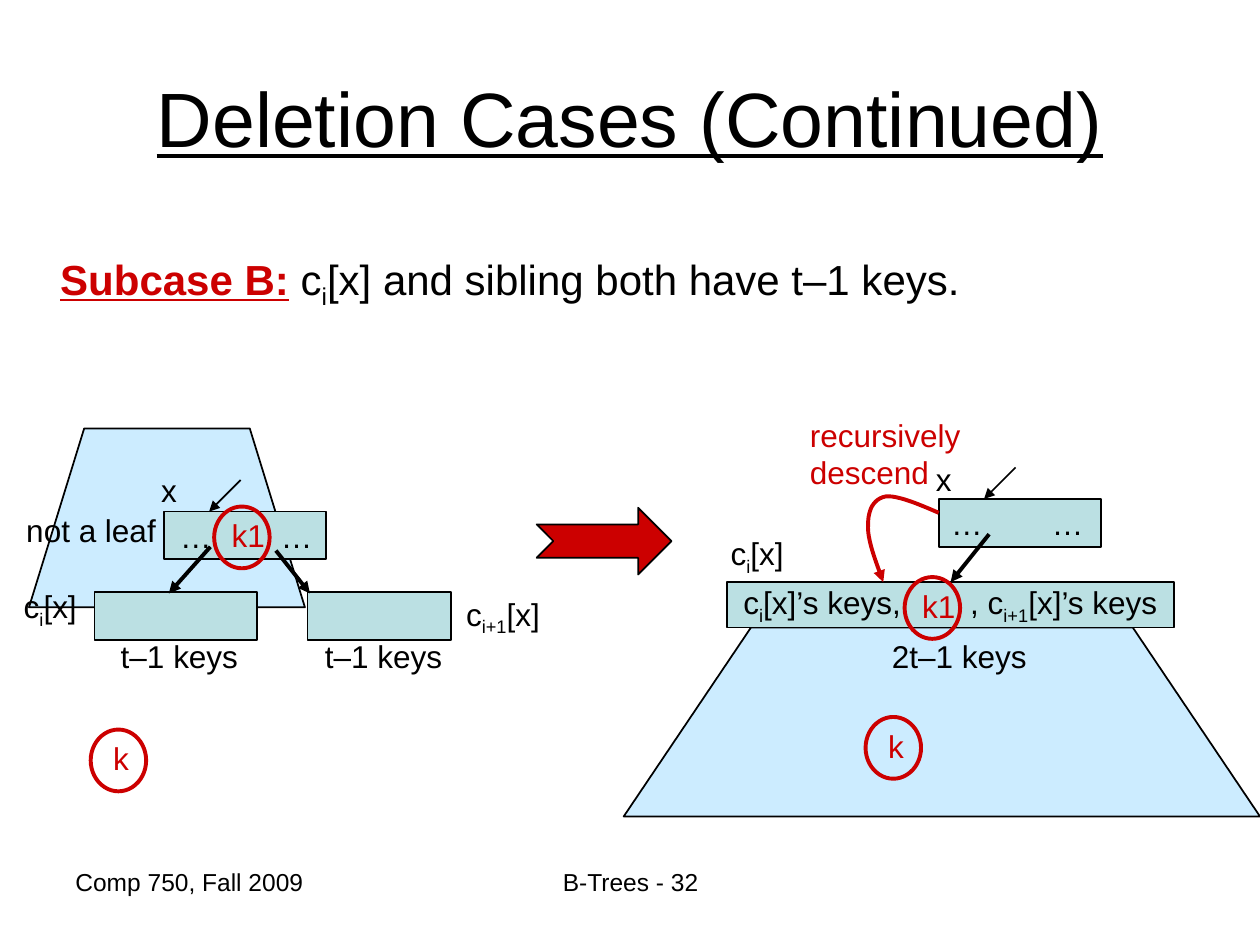
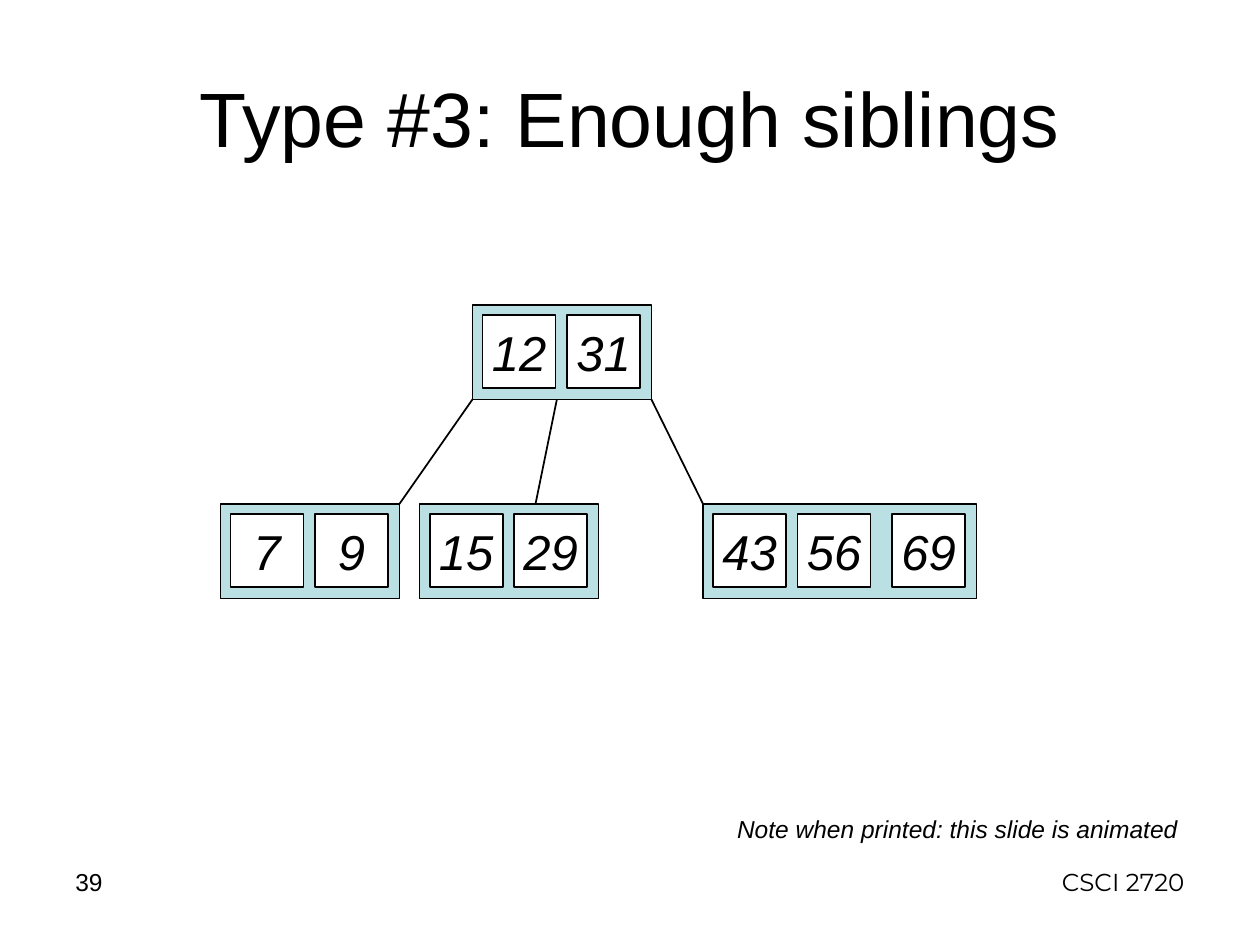
"""Build two B-tree deletion slides: a merge diagram and a small tree of keys."""
import dataclasses

import pptx
import pptx.dml.color
import pptx.enum.shapes
import pptx.enum.text
import pptx.oxml.ns
import pptx.util
from lxml import etree

Inches = pptx.util.Inches
Pt = pptx.util.Pt
SHAPE = pptx.enum.shapes.MSO_SHAPE
ALIGN = pptx.enum.text.PP_ALIGN
ANCHOR = pptx.enum.text.MSO_ANCHOR
AUTO_SIZE = pptx.enum.text.MSO_AUTO_SIZE
qn = pptx.oxml.ns.qn


@dataclasses.dataclass(frozen=True)
class Theme:
    ink: str = "000000"
    accent: str = "CC0000"
    node: str = "BBE0E3"
    subtree: str = "CCECFF"
    paper: str = "FFFFFF"
    font: str = "Arial"
    footer_font: str = "Montserrat"
    title_size: int = 44
    key_size: int = 28
    heading_size: int = 24
    label_size: int = 18
    footer_size: int = 14
    thin: float = 1
    thick: float = 2.25


THEME = Theme()

TITLE_BOX = (0.5, 0.3, 9, 1.25)
FOOTER_LEFT = (0.5, 6.83, 2.33, 0.52)
FOOTER_MIDDLE = (3.42, 6.83, 3.17, 0.52)
FOOTER_RIGHT = (7.17, 6.83, 2.33, 0.5)

# Text between underscores is set as a subscript.
MERGE_TITLE = "Deletion Cases (Continued)"
SUBCASE = ("Subcase B:", " c_i_[x] and sibling both have t–1 keys.", (0.38, 1.96, 7.34, 0.52))
SUBTREES = [(0.23, 3.4, 2.19, 1.42), (4.95, 4.98, 5.05, 1.5)]
NODES = {
    "parent before": ((1.3, 4.06, 1.29, 0.38), "…\t…", 0.13, 0.8),
    "child": ((0.75, 4.7, 1.29, 0.38), "", 0.1, 0),
    "sibling": ((2.44, 4.7, 1.14, 0.38), "", 0.1, 0),
    "parent after": ((7.45, 3.96, 1.29, 0.38), "…\t…", 0.1, 0.8),
    "merged": ((5.77, 4.62, 3.55, 0.36), "c_i_[x]’s keys,\t, c_i+1_[x]’s keys", 0.13, 1.8),
}
POINTERS = [
    ((1.91, 3.81), (1.66, 4.06), THEME.thin, None),
    ((1.67, 4.34), (1.34, 4.71), THEME.thick, None),
    ((2.19, 4.37), (2.46, 4.71), THEME.thick, None),
    ((8.06, 3.71), (7.81, 3.96), THEME.thin, None),
    ((7.85, 4.24), (7.54, 4.62), THEME.thick, "merged"),
]
LABELS = [
    ("x", 1.18, 3.69, 0.32),
    ("not a leaf", 0.11, 4.01, 1.25),
    ("c_i_[x]", 0.09, 4.61, 0.64),
    ("t–1 keys", 0.86, 5.01, 1.15),
    ("t–1 keys", 2.48, 5.01, 1.15),
    ("c_i+1_[x]", 3.6, 4.67, 0.82),
    ("c_i_[x]", 5.7, 4.19, 0.64),
    ("2t–1 keys", 6.98, 5.01, 1.29),
    ("x", 7.33, 3.6, 0.32),
]
LABEL_HEIGHT = 0.4
CIRCLED_KEYS = [("k", 0.72, 5.79), ("k1", 1.7, 4.02), ("k", 6.87, 5.69), ("k1", 7.18, 4.58)]
CIRCLE_SIZE = (0.44, 0.49)
CIRCLED_TEXT = {"k": (0.08, 0.34), "k1": (0.04, 0.5)}
MERGE_ARROW = (4.26, 4.03, 1.07, 0.53)
DESCEND = ("recursively\ndescend", (6.33, 3.25, 1.44, 0.7))
DESCEND_START = (7.45, 4.07)
DESCEND_CURVES = [
    ((7.29, 4), (7.12, 3.93), (7.03, 3.94)),
    ((6.93, 3.96), (6.89, 4.05), (6.89, 4.16)),
    ((6.88, 4.28), (6.95, 4.45), (7.01, 4.62)),
]
CURVE_STEPS = 12

TREE_TITLE = "Type #3: Enough siblings"
KEY_PAD, KEY_SIZE, KEY_STEP, KEY_ROW = 0.08, 0.58, 0.67, 0.75
TREE = [
    (3.75, 2.42, [12, 31], 0),
    (1.75, 4, [7, 9], 0),
    (3.33, 4, [15, 29], 0),
    (5.58, 4, [43, 56, 69], 0.08),
]
BRANCHES = [((3.75, 3.17), (3.17, 4)), ((4.42, 3.17), (4.25, 4)), ((5.17, 3.17), (5.58, 4))]
PRINT_NOTE = ("Note when printed: this slide is animated", (5.75, 6.41, 3.7, 0.34))


def rgb(color):
    return pptx.dml.color.RGBColor.from_string(color)


def write(frame, text, size, color=THEME.ink, font=THEME.font, align=ALIGN.LEFT,
          anchor=ANCHOR.TOP, wrap=False, lead="", tab=0, italic=False, underline=False):
    frame.word_wrap = wrap
    frame.vertical_anchor = anchor
    for number, line in enumerate(text.split("\n")):
        paragraph = frame.add_paragraph() if number else frame.paragraphs[0]
        paragraph.alignment = align
        if tab:
            tabs = etree.SubElement(paragraph._p.get_or_add_pPr(), qn("a:tabLst"))
            etree.SubElement(tabs, qn("a:tab"), pos=str(Inches(tab)), algn="l")
        paragraph.font.name = font
        paragraph.font.size = Pt(size)
        paragraph.font.color.rgb = rgb(color)
        paragraph.font.italic = italic
        paragraph.font.underline = underline
        if lead:
            run = paragraph.add_run()
            run.text = lead
            run.font.bold = run.font.underline = True
            run.font.color.rgb = rgb(THEME.accent)
        for part, piece in enumerate(line.split("_")):
            run = paragraph.add_run()
            run.text = piece
            if part % 2:
                run._r.get_or_add_rPr().set("baseline", "-25000")


def add_text(slide, text, box, size, wrap=False, **style):
    shape = slide.shapes.add_textbox(*map(Inches, box))
    write(shape.text_frame, text, size, wrap=wrap, **style)
    if not wrap:
        shape.text_frame.auto_size = AUTO_SIZE.SHAPE_TO_FIT_TEXT


def style_line(shape, color, width, arrow=False):
    shape.line.color.rgb = rgb(color)
    shape.line.width = Pt(width)
    if arrow:
        outline = shape._element.spPr.find(qn("a:ln"))
        etree.SubElement(outline, qn("a:tailEnd"), type="triangle")


def add_box(slide, kind, box, fill=None, line=THEME.ink, width=THEME.thin):
    shape = slide.shapes.add_shape(kind, *map(Inches, box))
    shape.shadow.inherit = False
    if fill:
        shape.fill.solid()
        shape.fill.fore_color.rgb = rgb(fill)
    else:
        shape.fill.background()
    style_line(shape, line, width)
    return shape


def add_line(slide, start, end, width=THEME.thin, arrow=False):
    connector = slide.shapes.add_connector(
        pptx.enum.shapes.MSO_CONNECTOR.STRAIGHT, *map(Inches, start + end))
    style_line(connector, THEME.ink, width, arrow)
    etree.SubElement(connector._element.spPr, qn("a:effectLst"))
    return connector


def curve_points(start, curves):
    for first, second, end in curves:
        for step in range(1, CURVE_STEPS + 1):
            t = step / CURVE_STEPS
            weights = ((1 - t) ** 3, 3 * t * (1 - t) ** 2, 3 * t * t * (1 - t), t ** 3)
            corners = (start, first, second, end)
            yield tuple(Inches(sum(w * c[axis] for w, c in zip(weights, corners)))
                        for axis in (0, 1))
        start = end


def add_descend_arrow(slide):
    builder = slide.shapes.build_freeform(*map(Inches, DESCEND_START))
    builder.add_line_segments(list(curve_points(DESCEND_START, DESCEND_CURVES)), close=False)
    shape = builder.convert_to_shape()
    shape.shadow.inherit = False
    shape.fill.background()
    style_line(shape, THEME.accent, THEME.thick, arrow=True)


def add_slide(presentation, title, footers, underline=False):
    slide = presentation.slides.add_slide(presentation.slide_layouts[6])
    add_text(slide, title, TITLE_BOX, THEME.title_size, align=ALIGN.CENTER,
             anchor=ANCHOR.MIDDLE, wrap=True, underline=underline)
    for text, box, align, font in footers:
        add_text(slide, text, box, THEME.footer_size, align=align, font=font, wrap=True)
    return slide


def build_merge_slide(presentation):
    slide = add_slide(presentation, MERGE_TITLE, [
        ("Comp 750, Fall 2009", FOOTER_LEFT, ALIGN.LEFT, THEME.font),
        ("B-Trees - 32", FOOTER_MIDDLE, ALIGN.CENTER, THEME.font),
    ], underline=True)
    lead, sentence, box = SUBCASE
    add_text(slide, sentence, box, THEME.heading_size, lead=lead)
    for box in SUBTREES:
        add_box(slide, SHAPE.FLOWCHART_MANUAL_OPERATION, box, THEME.subtree).rotation = 180
    nodes = {}
    for name, (box, text, inset, tab) in NODES.items():
        nodes[name] = add_box(slide, SHAPE.RECTANGLE, box, THEME.node)
        if text:
            frame = nodes[name].text_frame
            frame.margin_left, frame.margin_right = Inches(inset), 0
            write(frame, text, THEME.label_size, anchor=ANCHOR.MIDDLE, wrap=True, tab=tab)
    for start, end, width, target in POINTERS:
        connector = add_line(slide, start, end, width, arrow=True)
        if target:
            connector.end_connect(nodes[target], 0)
    for text, left, top, width in LABELS:
        add_text(slide, text, (left, top, width, LABEL_HEIGHT), THEME.label_size)
    for key, left, top in CIRCLED_KEYS:
        shift, width = CIRCLED_TEXT[key]
        add_text(slide, key, (left + shift, top + 0.03, width, LABEL_HEIGHT),
                 THEME.label_size, color=THEME.accent)
        add_box(slide, SHAPE.OVAL, (left, top, *CIRCLE_SIZE), None, THEME.accent, THEME.thick)
    add_box(slide, SHAPE.NOTCHED_RIGHT_ARROW, MERGE_ARROW, THEME.accent)
    add_descend_arrow(slide)
    add_text(slide, *DESCEND, THEME.label_size, color=THEME.accent)


def build_tree_slide(presentation):
    slide = add_slide(presentation, TREE_TITLE, [
        ("39", FOOTER_LEFT, ALIGN.LEFT, THEME.font),
        ("CSCI 2720", FOOTER_RIGHT, ALIGN.RIGHT, THEME.footer_font),
    ])
    for left, top, keys, last_gap in TREE:
        offsets = [KEY_PAD + KEY_STEP * index for index in range(len(keys))]
        offsets[-1] += last_gap
        add_box(slide, SHAPE.RECTANGLE, (left, top, offsets[-1] + KEY_STEP, KEY_ROW), THEME.node)
        for key, offset in zip(keys, offsets):
            cell = add_box(slide, SHAPE.RECTANGLE,
                           (left + offset, top + KEY_PAD, KEY_SIZE, KEY_SIZE), THEME.paper)
            write(cell.text_frame, str(key), THEME.key_size, align=ALIGN.CENTER,
                  anchor=ANCHOR.MIDDLE, italic=True)
    for start, end in BRANCHES:
        add_line(slide, start, end)
    add_text(slide, *PRINT_NOTE, THEME.footer_size, align=ALIGN.CENTER,
             anchor=ANCHOR.MIDDLE, italic=True)


def main():
    presentation = pptx.Presentation()
    presentation.slide_width, presentation.slide_height = Inches(10), Inches(7.5)
    build_merge_slide(presentation)
    build_tree_slide(presentation)
    presentation.save("out.pptx")


if __name__ == "__main__":
    main()
